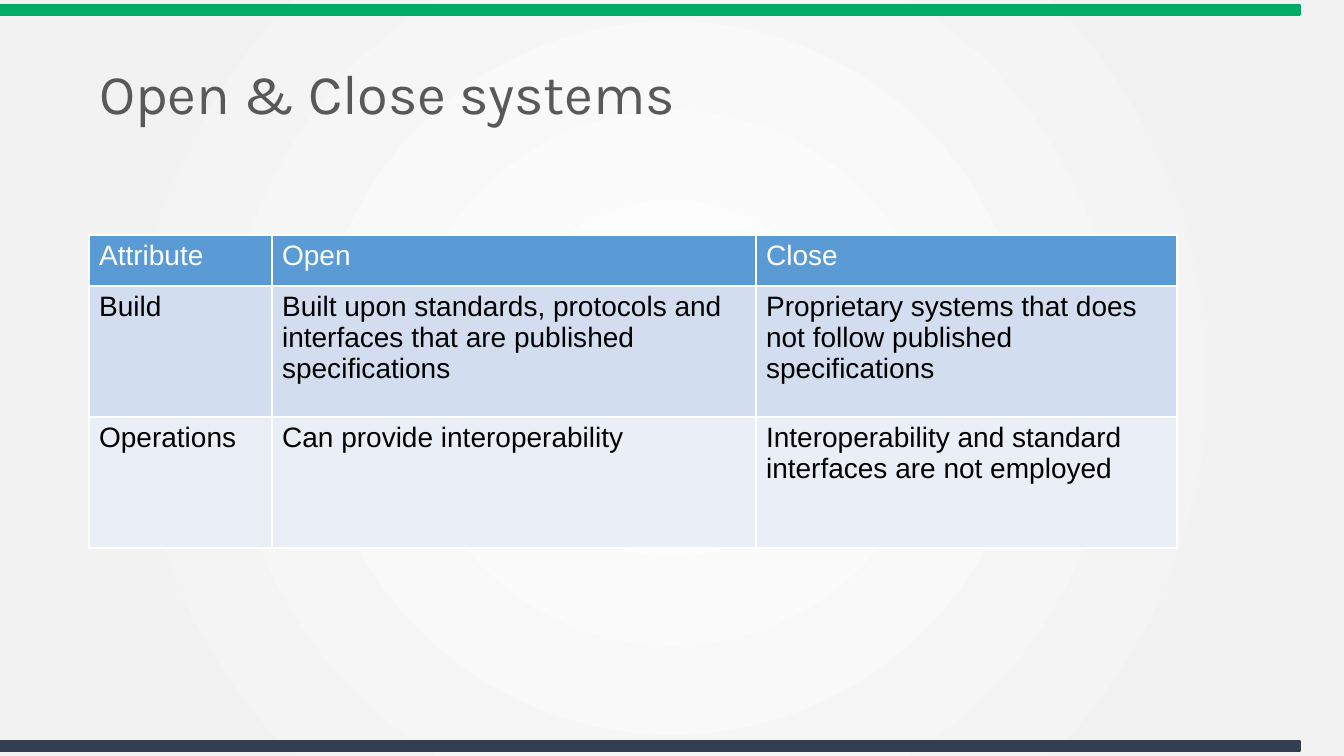
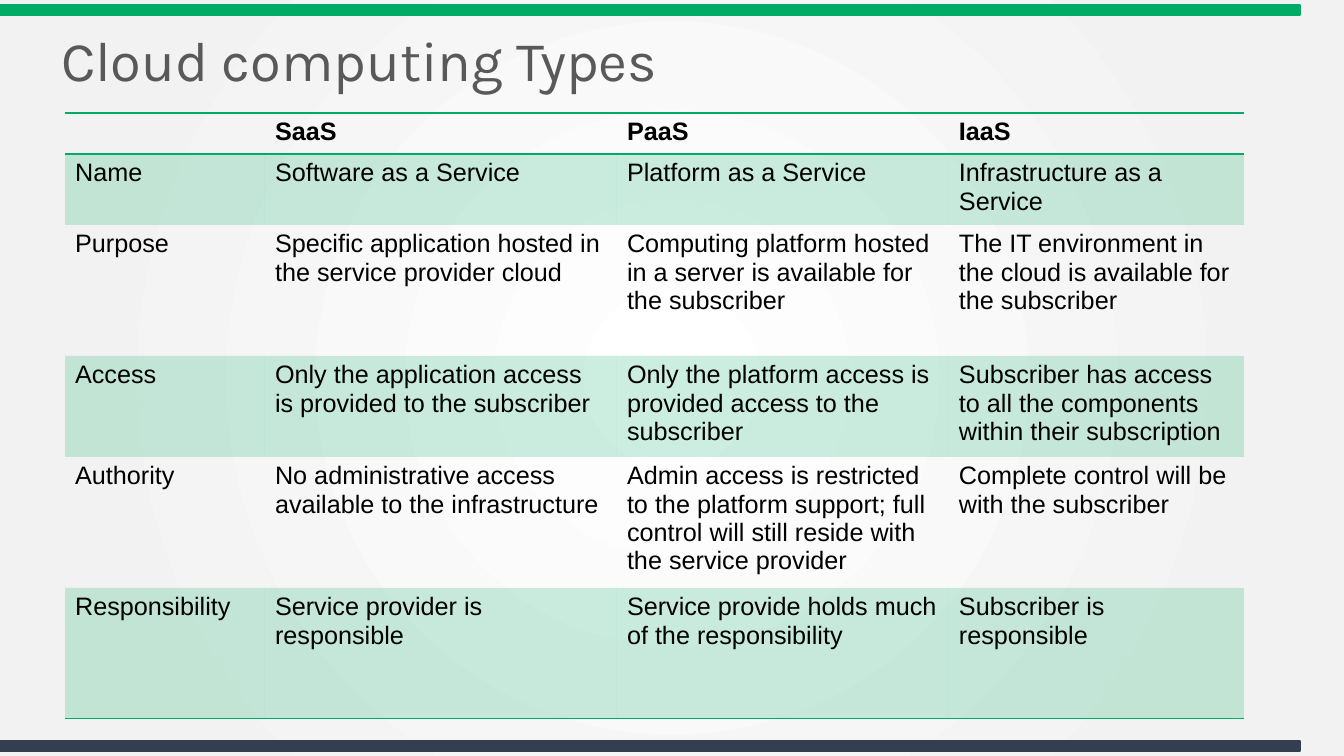
from pptx import Presentation
from pptx.dml.color import RGBColor
from pptx.enum.shapes import MSO_SHAPE
from pptx.enum.text import MSO_ANCHOR, MSO_AUTO_SIZE, PP_ALIGN
from pptx.oxml import parse_xml
from pptx.oxml.ns import nsdecls, qn
from pptx.util import Emu, Pt

SCALE = 914400 / 100.8
PAGE_WIDTH, PAGE_HEIGHT = 1344, 756
TITLE_ONLY = 5
NO_STYLE_NO_GRID = "{2D5ABB26-0587-4C30-8999-92F81FD0307C}"

GREEN, NAVY, GREY = "00AC65", "333F50", "595959"
WHITE, BLACK, PALE_GREY = "FFFFFF", "000000", "F2F2F2"
BLUE, LIGHT_BLUE, PALE_BLUE = "5B9BD5", "D2DEEF", "EAEFF7"


def px(length):
    """Turn pixels into EMU."""
    return Emu(round(length * SCALE))


def color(value):
    """Turn a hex string into a colour."""
    return RGBColor.from_string(value)


class Slides:
    """The shared style and the current slide."""

    title_font, body_font = "Karla", "Arial"
    title_size = 40
    bands = ((5, GREEN), (741, NAVY))

    def __init__(self):
        """Start a deck with the shared background."""
        self.deck = Presentation()
        self.deck.slide_width = px(PAGE_WIDTH)
        self.deck.slide_height = px(PAGE_HEIGHT)
        self.page = None
        self.set_background()

    def set_background(self):
        """Give the master a round gradient from white to pale grey."""
        master = self.deck.slide_master
        master.background.fill.gradient()
        old = master.element.find(".//" + qn("p:bgPr") + "/" + qn("a:gradFill"))
        stops = "".join(
            f'<a:gs pos="{place * 1000}"><a:srgbClr val="{value}"/></a:gs>'
            for place, value in ((0, WHITE), (81, PALE_GREY), (100, PALE_GREY)))
        gradient = parse_xml(
            f'<a:gradFill {nsdecls("a")} rotWithShape="1"><a:gsLst>{stops}</a:gsLst>'
            '<a:path path="circle"><a:fillToRect l="50000" t="50000" r="50000" '
            'b="50000"/></a:path></a:gradFill>')
        old.getparent().replace(old, gradient)

    def add_page(self, title, left, top):
        """Add a slide with its bands and title."""
        layout = self.deck.slide_layouts[TITLE_ONLY]
        self.page = self.deck.slides.add_slide(layout)
        for band_top, fill in self.bands:
            self.add_band(band_top, fill)
        self.set_title(title, left, top)

    def add_band(self, top, fill):
        """Draw a thin band across the slide."""
        band = self.page.shapes.add_shape(
            MSO_SHAPE.RECTANGLE, px(0), px(top), px(1300), px(10))
        band.shadow.inherit = False
        band.fill.solid()
        band.fill.fore_color.rgb = color(fill)
        band.line.color.rgb = color(fill)
        band.line.width = Pt(1)

    def set_title(self, text, left, top):
        """Fill, move and format the title placeholder."""
        box = self.page.shapes.title
        box.left, box.top, box.width, box.height = px(left), px(top), px(1179), px(81)
        frame = box.text_frame
        frame.text = text
        frame.word_wrap = True
        frame.auto_size = MSO_AUTO_SIZE.NONE
        frame.vertical_anchor = MSO_ANCHOR.MIDDLE
        para = frame.paragraphs[0]
        para.alignment = PP_ALIGN.LEFT
        para.line_spacing = 0.9
        self.format_text(para, self.title_font, self.title_size, GREY)

    def format_text(self, para, font, size, ink, bold=False):
        """Format every run of a paragraph."""
        for span in para.runs:
            span.font.name = font
            span.font.size = Pt(size)
            span.font.bold = bold
            span.font.color.rgb = color(ink)

    def add_table(self, left, top, widths, heights, rows, size, style):
        """Add a table; style(row) gives fill, opacity, ink, bold, edges and edge colour."""
        frame = self.page.shapes.add_table(
            len(rows), len(widths), px(left), px(top), px(sum(widths)), px(sum(heights)))
        frame.element.find(".//" + qn("a:tableStyleId")).text = NO_STYLE_NO_GRID
        table = frame.table
        table.first_row = table.horz_banding = False
        for column, width in zip(table.columns, widths):
            column.width = px(width)
        for row, height in zip(table.rows, heights):
            row.height = px(height)
        for row_index, texts in enumerate(rows):
            fill, opacity, ink, bold, edges, edge_color = style(row_index)
            for column_index, text in enumerate(texts):
                cell = table.cell(row_index, column_index)
                cell.text = text
                self.format_text(cell.text_frame.paragraphs[0],
                                 self.body_font, size, ink, bold)
                self.fill_cell(cell, fill, opacity)
                self.set_edges(cell, edges, edge_color)

    def fill_cell(self, cell, fill, opacity):
        """Fill a cell with a colour of some opacity, or leave it clear."""
        if fill is None:
            cell.fill.background()
            return
        cell.fill.solid()
        cell.fill.fore_color.rgb = color(fill)
        if opacity < 100:
            tint = cell._tc.tcPr.find(".//" + qn("a:srgbClr"))
            tint.append(parse_xml(f'<a:alpha {nsdecls("a")} val="{opacity * 1000}"/>'))

    def set_edges(self, cell, edges, edge_color):
        """Draw the named edges (in the order L, R, T, B) one point wide."""
        for index, edge in enumerate(edges):
            cell._tc.tcPr.insert(index, parse_xml(
                f'<a:ln{edge} {nsdecls("a")} w="{Pt(1)}"><a:solidFill>'
                f'<a:srgbClr val="{edge_color}"/></a:solidFill></a:ln{edge}>'))


def systems_style(row):
    """Style a row of the systems table."""
    fill = (BLUE, LIGHT_BLUE, PALE_BLUE)[row]
    return fill, 100, BLACK if row else WHITE, False, "LRTB", WHITE


def cloud_style(row):
    """Style a row of the cloud table: odd rows are tinted."""
    edges = {0: "TB", len(CLOUD_ROWS) - 1: "B"}.get(row, "")
    return GREEN if row % 2 else None, 20, BLACK, row == 0, edges, GREEN


SYSTEMS_ROWS = (
    ("Attribute", "Open", "Close"),
    ("Build",
     "Built upon standards, protocols and interfaces that are published specifications",
     "Proprietary systems that does not follow published specifications"),
    ("Operations", "Can provide interoperability",
     "Interoperability and standard interfaces are not employed"),
)
CLOUD_ROWS = (
    ("", "SaaS", "PaaS", "IaaS"),
    ("Name", "Software as a Service", "Platform as a Service",
     "Infrastructure as a Service"),
    ("Purpose", "Specific application hosted in the service provider cloud",
     "Computing platform hosted in a server is available for the subscriber",
     "The IT environment in the cloud is available for the subscriber"),
    ("Access", "Only the application access is provided to the subscriber",
     "Only the platform access is provided access to the subscriber",
     "Subscriber has access to all the components within their subscription"),
    ("Authority", "No administrative access available to the infrastructure",
     "Admin access is restricted to the platform support; full control will still "
     "reside with the service provider",
     "Complete control will be with the subscriber"),
    ("Responsibility", "Service provider is responsible",
     "Service provide holds much of the responsibility",
     "Subscriber is responsible"),
)

slides = Slides()

slides.add_page("Open & Close systems", 89, 56)
slides.add_table(89, 235, (183, 484, 421), (51, 131, 131),
                 SYSTEMS_ROWS, 20, systems_style)

slides.add_page("Cloud computing Types", 51, 23)
slides.add_table(65, 113, (200, 352, 332, 295), (41, 71, 131, 101, 131, 131),
                 CLOUD_ROWS, 18, cloud_style)

slides.deck.save("out.pptx")
